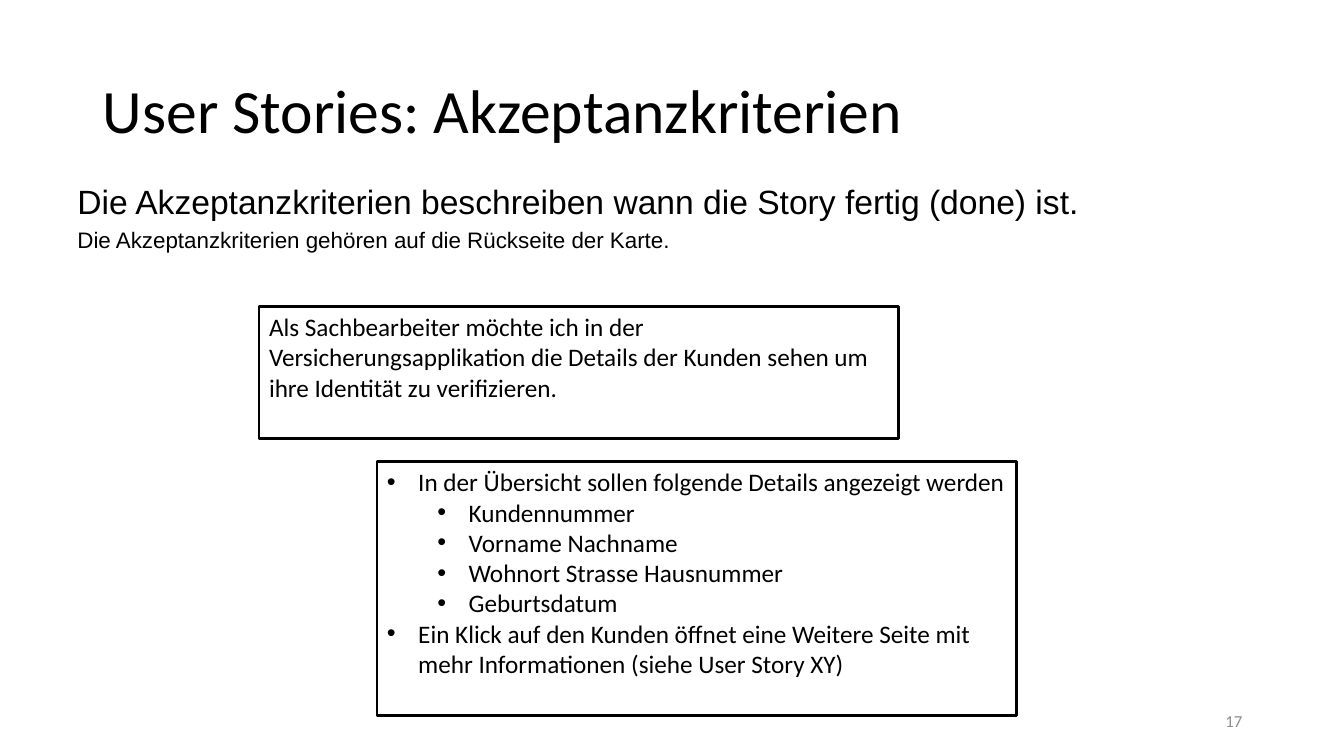
from pptx import Presentation
from pptx.dml.color import RGBColor
from pptx.enum import shapes, text
from pptx.oxml import parse_xml
from pptx.oxml.ns import nsdecls
from pptx.util import Inches, Pt

BLACK, WHITE, GREY = "000000", "FFFFFF", "8C8C8C"
BULLET_INDENT = 0.31
LEVEL_STEP = 0.5

INTRO = [
    ("Die Akzeptanzkriterien beschreiben wann die Story fertig (done) ist.", 24),
    ("Die Akzeptanzkriterien gehören auf die Rückseite der Karte.", 16),
]
STORY = [
    ("Als Sachbearbeiter möchte ich in der Versicherungsapplikation die Details "
     "der Kunden sehen um ihre Identität zu verifizieren.", None),
]
CRITERIA = [
    ("In der Übersicht sollen folgende Details angezeigt werden", 0),
    ("Kundennummer", 1),
    ("Vorname Nachname", 1),
    ("Wohnort Strasse Hausnummer", 1),
    ("Geburtsdatum", 1),
    ("Ein Klick auf den Kunden öffnet eine Weitere Seite mit mehr "
     "Informationen (siehe User Story XY)", 0),
]


def color(hex_value):
    return RGBColor.from_string(hex_value)


def place(part, box):
    part.left, part.top, part.width, part.height = map(Inches, box)


def write(paragraph, wording, size=18, font="Calibri", ink=BLACK,
          align=text.PP_ALIGN.LEFT, before=0, spacing=None, level=None):
    """Fill a paragraph; a level other than None makes it a bullet."""
    run = paragraph.add_run()
    run.text = wording
    run.font.size = Pt(size)
    run.font.name = font
    run.font.color.rgb = color(ink)
    paragraph.alignment = align
    paragraph.space_before = Pt(before)
    if spacing:
        paragraph.line_spacing = spacing
    if level is not None:
        paragraph.level = level
        props = paragraph._p.get_or_add_pPr()
        props.set("marL", str(Inches(BULLET_INDENT + level * LEVEL_STEP)))
        props.set("indent", str(-Inches(BULLET_INDENT)))
        props.append(parse_xml(f'<a:buFont {nsdecls("a")} typeface="Arial"/>'))
        props.append(parse_xml(f'<a:buChar {nsdecls("a")} char="•"/>'))


def paragraphs(frame, count):
    return [frame.paragraphs[0]] + [frame.add_paragraph() for _ in range(count - 1)]


def add_title(slide, box, wording):
    title = slide.shapes.title
    place(title, box)
    title.text_frame.vertical_anchor = text.MSO_ANCHOR.MIDDLE
    write(title.text_frame.paragraphs[0], wording, size=44, spacing=0.9)


def add_intro(slide, box, lines):
    frame = slide.shapes.add_textbox(*map(Inches, box)).text_frame
    frame.word_wrap = True
    for paragraph, (wording, size) in zip(paragraphs(frame, len(lines)), lines):
        write(paragraph, wording, size=size, font="Arial", before=0.2 * size)


def add_card(slide, box, lines):
    """Outlined story card; each line has a bullet level or None."""
    card = slide.shapes.add_shape(shapes.MSO_SHAPE.RECTANGLE, *map(Inches, box))
    card.shadow.inherit = False
    card.fill.solid()
    card.fill.fore_color.rgb = color(WHITE)
    card.line.color.rgb = color(BLACK)
    card.line.width = Pt(2)
    frame = card.text_frame
    frame.word_wrap = True
    frame.vertical_anchor = text.MSO_ANCHOR.TOP
    for paragraph, (wording, level) in zip(paragraphs(frame, len(lines)), lines):
        write(paragraph, wording, level=level)


def add_page_number(slide, box, number):
    frame = slide.shapes.add_textbox(*map(Inches, box)).text_frame
    frame.word_wrap = True
    frame.vertical_anchor = text.MSO_ANCHOR.MIDDLE
    write(frame.paragraphs[0], number, size=12, ink=GREY, align=text.PP_ALIGN.RIGHT)


def main():
    deck = Presentation()
    deck.slide_width, deck.slide_height = Inches(13.33), Inches(7.5)
    slide = deck.slides.add_slide(deck.slide_layouts[5])

    add_title(slide, (0.92, 0.4, 11.5, 1.45), "User Stories: Akzeptanzkriterien")
    add_page_number(slide, (9.42, 6.95, 3, 0.4), "17")
    add_intro(slide, (0.67, 1.75, 12, 4.95), INTRO)
    # Front and back of the story card
    add_card(slide, (2.57, 3.04, 6.34, 1.31), STORY)
    add_card(slide, (3.74, 4.58, 6.34, 2.52), CRITERIA)

    deck.save("out.pptx")


if __name__ == "__main__":
    main()
